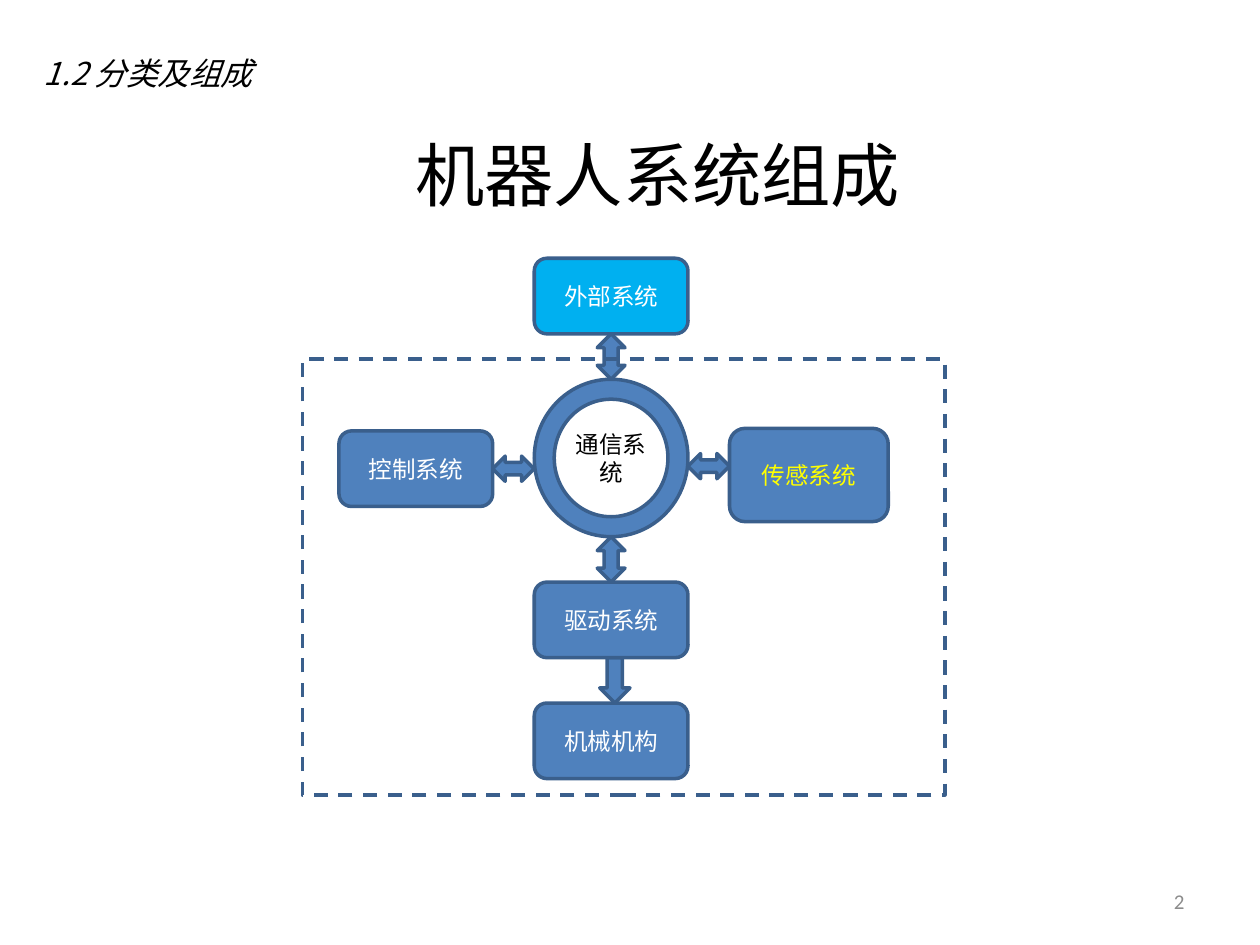
from pptx import Presentation
from pptx import util as u
from pptx.dml.color import RGBColor
from pptx.enum import dml, shapes, text

BLUE, OUTLINE, SKY = "4F81BD", "3A5F8C", "00B0F0"
WHITE, BLACK, YELLOW, GRAY = "FFFFFF", "000000", "FFFF00", "8C8C8C"
KIND = shapes.MSO_SHAPE

deck = Presentation()
deck.slide_width, deck.slide_height = u.Inches(10), u.Inches(7.5)
page = deck.slides.add_slide(deck.slide_layouts[5])


def write(box, words, size, color, align, font="Calibri", italic=None):
    frame = box.text_frame
    frame.word_wrap = True
    frame.auto_size = text.MSO_AUTO_SIZE.NONE
    frame.vertical_anchor = text.MSO_ANCHOR.MIDDLE
    para = frame.paragraphs[0]
    para.text = words
    para.alignment = align
    para.font.size = u.Pt(size)
    para.font.name = font
    para.font.italic = italic
    para.font.color.rgb = RGBColor.from_string(color)


def draw(kind, left, top, width, height, fill=BLUE):
    shape = page.shapes.add_shape(kind, *map(u.Inches, (left, top, width, height)))
    shape.shadow.inherit = False
    if fill:
        shape.fill.solid()
        shape.fill.fore_color.rgb = RGBColor.from_string(fill)
    else:
        shape.fill.background()
    shape.line.color.rgb = RGBColor.from_string(OUTLINE)
    shape.line.width = u.Pt(2)
    return shape


# Grid: a central column of boxes with equal gaps around the ring
BOX_W, BOX_H, GAP, SIDE_GAP = 1.22, 0.6, 0.36, 0.33
COLUMN, TOP = 4.24, 2.05
RING_H = 1.25
RING_TOP = TOP + BOX_H + GAP
DRIVE_TOP = RING_TOP + RING_H + GAP
MECH_TOP = DRIVE_TOP + BOX_H + GAP
CENTER = COLUMN + BOX_W / 2
RIGHT = COLUMN + BOX_W + SIDE_GAP
LEFT = COLUMN - SIDE_GAP - BOX_W

# Communication ring
ring = draw(KIND.DONUT, COLUMN, RING_TOP, BOX_W, RING_H)
ring.adjustments[0] = 0.13
labels = [(ring, "通信系统", BLACK)]

# Arrows between the systems
for kind, left, top, width, height in [
    (KIND.UP_DOWN_ARROW, CENTER - 0.11, TOP + BOX_H, 0.22, GAP),
    (KIND.LEFT_RIGHT_ARROW, COLUMN - SIDE_GAP, 3.62, SIDE_GAP, 0.2),
    (KIND.LEFT_RIGHT_ARROW, COLUMN + BOX_W, 3.6, SIDE_GAP, 0.2),
    (KIND.UP_DOWN_ARROW, CENTER - 0.11, RING_TOP + RING_H, 0.22, GAP),
    (KIND.DOWN_ARROW, 4.76, DRIVE_TOP + BOX_H, 0.24, GAP),
]:
    draw(kind, left, top, width, height)

# System boxes
for words, left, top, width, height, fill, color in [
    ("传感系统", RIGHT, 3.4, 1.26, 0.74, BLUE, YELLOW),
    ("控制系统", LEFT, 3.42, BOX_W, BOX_H, BLUE, WHITE),
    ("外部系统", COLUMN, TOP, BOX_W, BOX_H, SKY, WHITE),
    ("驱动系统", COLUMN, DRIVE_TOP, BOX_W, BOX_H, BLUE, WHITE),
    ("机械机构", COLUMN, MECH_TOP, BOX_W, BOX_H, BLUE, WHITE),
]:
    box = draw(KIND.ROUNDED_RECTANGLE, left, top, width, height, fill)
    labels.append((box, words, color))

for box, words, color in labels:
    frame = box.text_frame
    frame.margin_left = frame.margin_right = u.Inches(0.07)
    frame.margin_top = frame.margin_bottom = u.Inches(0.04)
    write(box, words, 13.5, color, text.PP_ALIGN.CENTER)

# Dashed boundary of the robot
boundary = draw(KIND.RECTANGLE, 2.4, 2.85, 5.1, 3.46, None)
boundary.line.dash_style = dml.MSO_LINE.DASH

# Title, section heading and page number
title = page.shapes.title
title.left, title.top, title.width, title.height = map(u.Inches, (2.69, 1.07, 5.06, 0.62))
write(title, "机器人系统组成", 39.6, BLACK, text.PP_ALIGN.CENTER)

heading = page.shapes.add_textbox(*map(u.Inches, (0.25, 0.33, 2.94, 0.5)))
write(heading, "1.2 分类及组成", 18, BLACK, text.PP_ALIGN.LEFT, "Noto Sans CJK SC", True)

number = page.shapes.add_textbox(*map(u.Inches, (7.17, 6.95, 2.33, 0.4)))
write(number, "2", 12, GRAY, text.PP_ALIGN.RIGHT)

deck.save("out.pptx")
